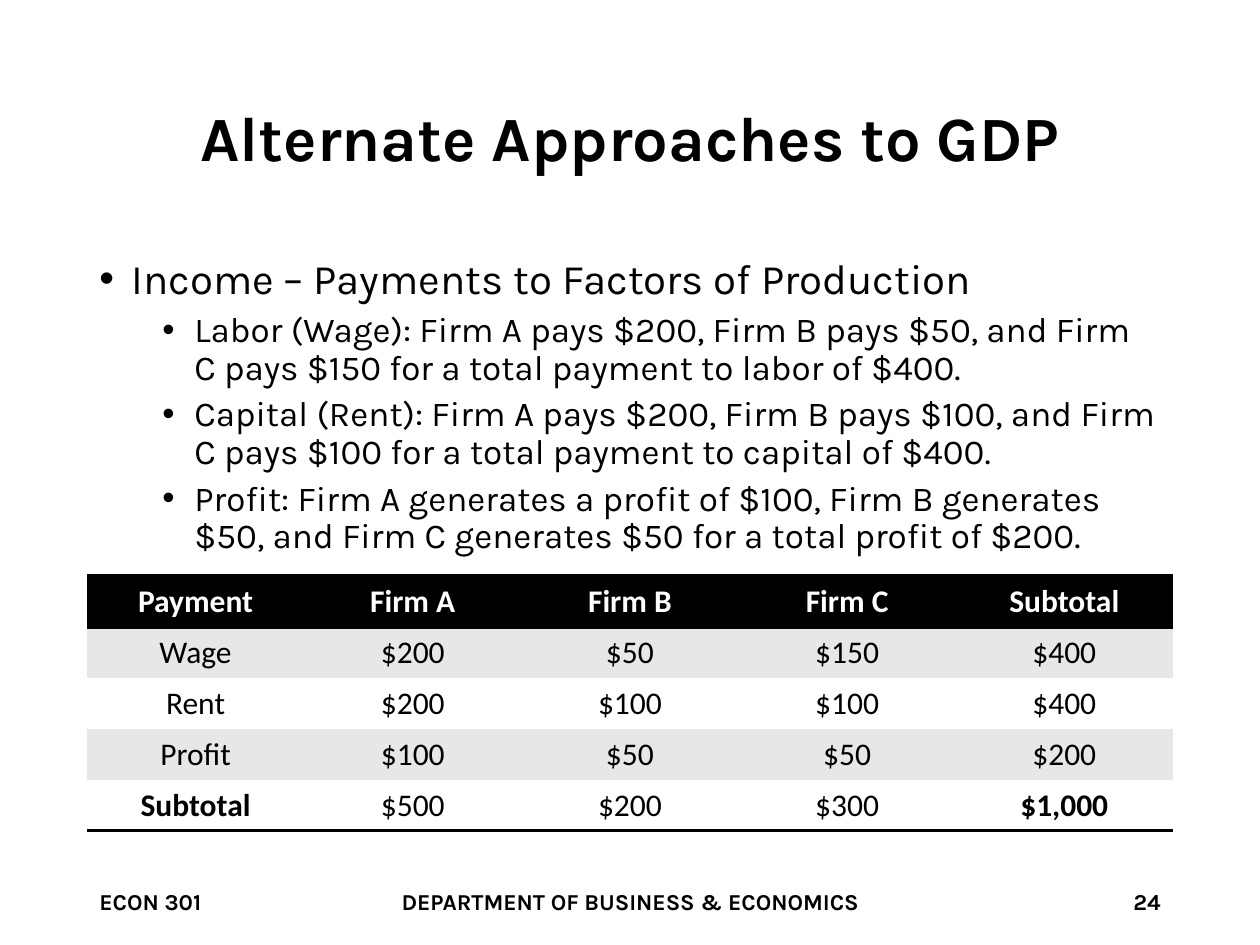
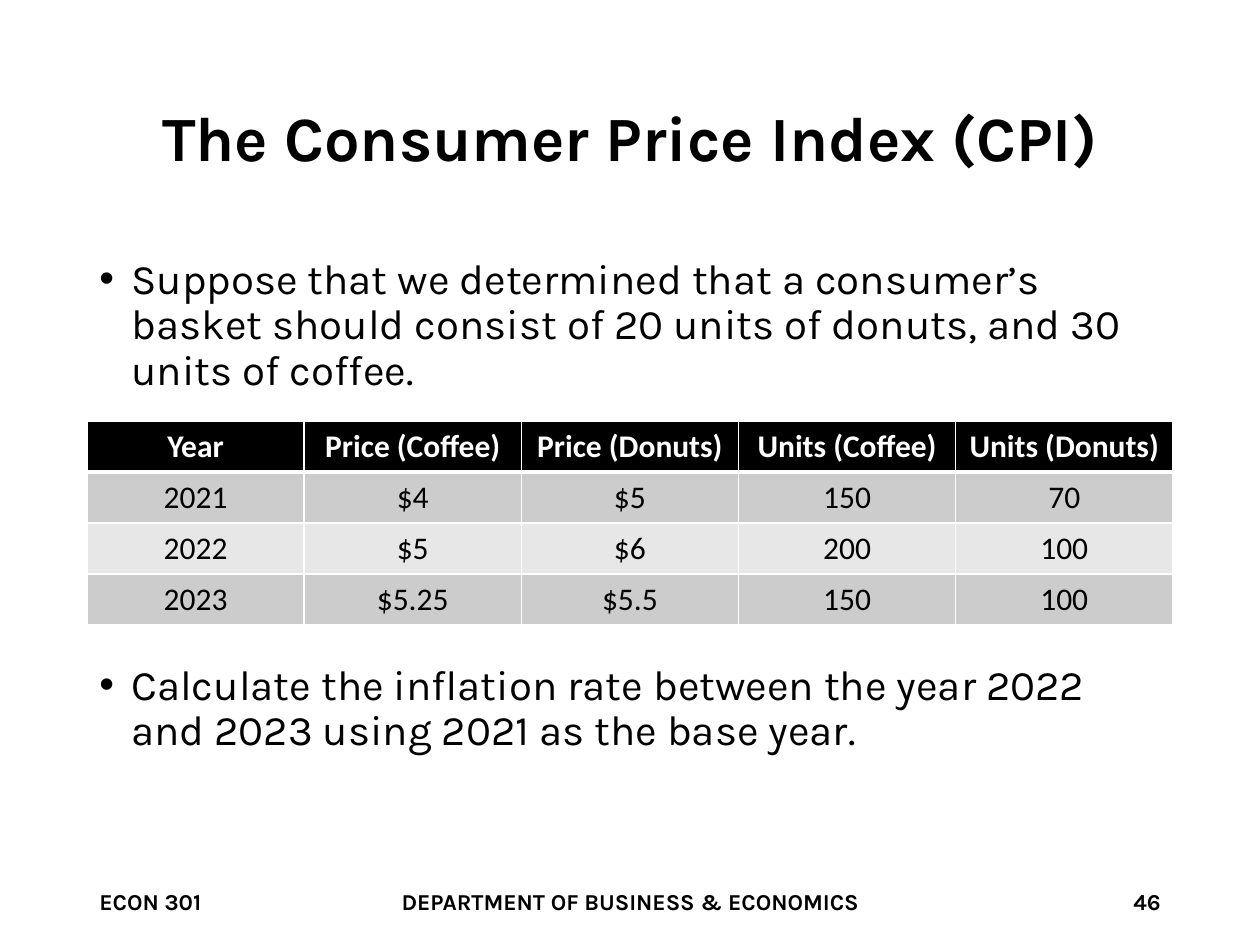
from dataclasses import dataclass

from lxml.etree import SubElement as Sub
from pptx import Presentation as Deck
from pptx.dml.color import RGBColor as Rgb
from pptx.enum.text import MSO_ANCHOR as Anchor, PP_ALIGN as Align
from pptx.oxml.ns import qn
from pptx.util import Emu, Pt

SCALE = 914400 / 126
BLACK, WHITE, PALE, GREY = "000000", "FFFFFF", "E7E7E7", "CCCCCC"
LEFT, WIDTH = 87, 1086
ROW = 51
PLAIN = "{2D5ABB26-0587-4C30-8999-92F81FD0307C}"


@dataclass(frozen=True)
class Box:
    left: int
    top: int
    width: int
    height: int


@dataclass(frozen=True)
class Style:
    size: int
    face: str = "Karla"
    bold: bool = False
    align: Align = Align.LEFT
    tint: str = BLACK


@dataclass(frozen=True)
class Point:
    text: str
    level: int = 0
    gap: int = 0


@dataclass(frozen=True)
class Edge:
    side: str
    tint: str
    width: int


@dataclass(frozen=True)
class Grid:
    top: int
    rows: list[list[str]]
    fills: list[str]
    edges: list[list[Edge]]
    strong: tuple = ()


@dataclass(frozen=True)
class Page:
    title: str
    number: int
    points: list[Point]
    grid: Grid


TITLE = Style(36, bold=True, align=Align.CENTER)
BODY = [Style(24), Style(20)]
INDENT = [32, 95]
HANG = 32
FOOT_TOP, FOOT_TALL = 876, 50


def px(size: int) -> Emu:
    return Emu(round(size * SCALE))


def ink(code: str) -> Rgb:
    return Rgb.from_string(code)


def dress(para, style: Style) -> None:
    para.alignment = style.align
    font = para.font
    font.name, font.size, font.bold = style.face, Pt(style.size), style.bold
    font.color.rgb = ink(style.tint)


def frame(slide, box: Box, anchor: Anchor):
    spot = map(px, (box.left, box.top, box.width, box.height))
    text = slide.shapes.add_textbox(*spot).text_frame
    text.word_wrap = True
    text.vertical_anchor = anchor
    return text


def label(slide, box: Box, words: str, style: Style, lead: float = 1.0) -> None:
    para = frame(slide, box, Anchor.MIDDLE).paragraphs[0]
    para.text = words
    para.line_spacing = lead
    dress(para, style)


def bullets(slide, points: list[Point]) -> None:
    text = frame(slide, Box(LEFT, 252, WIDTH, 600), Anchor.TOP)
    for at, point in enumerate(points):
        para = text.add_paragraph() if at else text.paragraphs[0]
        para.text = point.text
        para.level = point.level
        para.line_spacing = 0.9
        para.space_before = Pt(point.gap)
        props = para._p.get_or_add_pPr()
        props.set("marL", str(px(INDENT[point.level])))
        props.set("indent", str(-px(HANG)))
        Sub(props, qn("a:buFont"), typeface="Arial")
        Sub(props, qn("a:buChar"), char="•")
        dress(para, BODY[point.level])


def border(cell, edges: list[Edge]) -> None:
    props = cell._tc.get_or_add_tcPr()
    for edge in sorted(edges, key=lambda edge: "LRTB".index(edge.side)):
        line = Sub(props, qn(f"a:ln{edge.side}"), w=str(Pt(edge.width)))
        fill = Sub(line, qn("a:solidFill"))
        Sub(fill, qn("a:srgbClr"), val=edge.tint)


def table(slide, grid: Grid) -> None:
    count = len(grid.rows)
    spot = map(px, (LEFT, grid.top, WIDTH, ROW * count))
    sheet = slide.shapes.add_table(count, len(grid.rows[0]), *spot).table
    sheet.first_row = sheet.horz_banding = False
    sheet._tbl.tblPr.find(qn("a:tableStyleId")).text = PLAIN
    for y, row in enumerate(grid.rows):
        for x, words in enumerate(row):
            cell = sheet.cell(y, x)
            border(cell, grid.edges[y])
            cell.fill.solid()
            cell.fill.fore_color.rgb = ink(grid.fills[y])
            para = cell.text_frame.paragraphs[0]
            para.text = words
            bold = y == 0 or (y, x) in grid.strong
            tint = BLACK if y else WHITE
            dress(para, Style(18, "Calibri", bold, Align.CENTER, tint))


def footer(slide, number: int) -> None:
    parts = [
        (LEFT, 284, "ECON 301", Align.LEFT),
        (233, 794, "DEPARTMENT OF BUSINESS & ECONOMICS", Align.CENTER),
        (889, 284, str(number), Align.RIGHT),
    ]
    for left, width, words, align in parts:
        box = Box(left, FOOT_TOP, width, FOOT_TALL)
        label(slide, box, words, Style(13, bold=True, align=align))


def draw(deck, page: Page) -> None:
    slide = deck.slides.add_slide(deck.slide_layouts[6])
    label(slide, Box(LEFT, 50, WIDTH, 183), page.title, TITLE, 0.9)
    bullets(slide, page.points)
    footer(slide, page.number)
    table(slide, page.grid)


RULES = [Edge("T", BLACK, 2), Edge("B", BLACK, 2)]
SIDES = [Edge("L", WHITE, 1), Edge("R", WHITE, 1)]
INNER = [*SIDES, Edge("B", WHITE, 1)]
HEAD = [*SIDES, Edge("T", WHITE, 1), Edge("B", WHITE, 3)]

INCOME = Grid(
    576,
    [
        ["Payment", "Firm A", "Firm B", "Firm C", "Subtotal"],
        ["Wage", "$200", "$50", "$150", "$400"],
        ["Rent", "$200", "$100", "$100", "$400"],
        ["Profit", "$100", "$50", "$50", "$200"],
        ["Subtotal", "$500", "$200", "$300", "$1,000"],
    ],
    [BLACK, PALE, WHITE, PALE, WHITE],
    [RULES, [], [], [], RULES[1:]],
    ((4, 0), (4, 4)),
)
PRICES = Grid(
    421,
    [
        ["Year", "Price (Coffee)", "Price (Donuts)", "Units (Coffee)", "Units (Donuts)"],
        ["2021", "$4", "$5", "150", "70"],
        ["2022", "$5", "$6", "200", "100"],
        ["2023", "$5.25", "$5.5", "150", "100"],
    ],
    [BLACK, GREY, PALE, GREY],
    [HEAD, INNER, INNER, INNER],
)
PAGES = [
    Page(
        "Alternate Approaches to GDP",
        24,
        [
            Point("Income – Payments to Factors of Production"),
            Point("Labor (Wage): Firm A pays $200, Firm B pays $50, and Firm C "
                  "pays $150 for a total payment to labor of $400.", 1, 5),
            Point("Capital (Rent): Firm A pays $200, Firm B pays $100, and Firm "
                  "C pays $100 for a total payment to capital of $400.", 1, 5),
            Point("Profit: Firm A generates a profit of $100, Firm B generates "
                  "$50, and Firm C generates $50 for a total profit of $200.", 1, 5),
        ],
        INCOME,
    ),
    Page(
        "The Consumer Price Index (CPI)",
        46,
        [
            Point("Suppose that we determined that a consumer’s basket should "
                  "consist of 20 units of donuts, and 30 units of coffee."),
            Point("Calculate the inflation rate between the year 2022 and 2023 "
                  "using 2021 as the base year.", gap=154),
        ],
        PRICES,
    ),
]


def main() -> None:
    deck = Deck()
    deck.slide_width, deck.slide_height = px(1260), px(945)
    for page in PAGES:
        draw(deck, page)
    deck.save("out.pptx")


if __name__ == "__main__":
    main()
